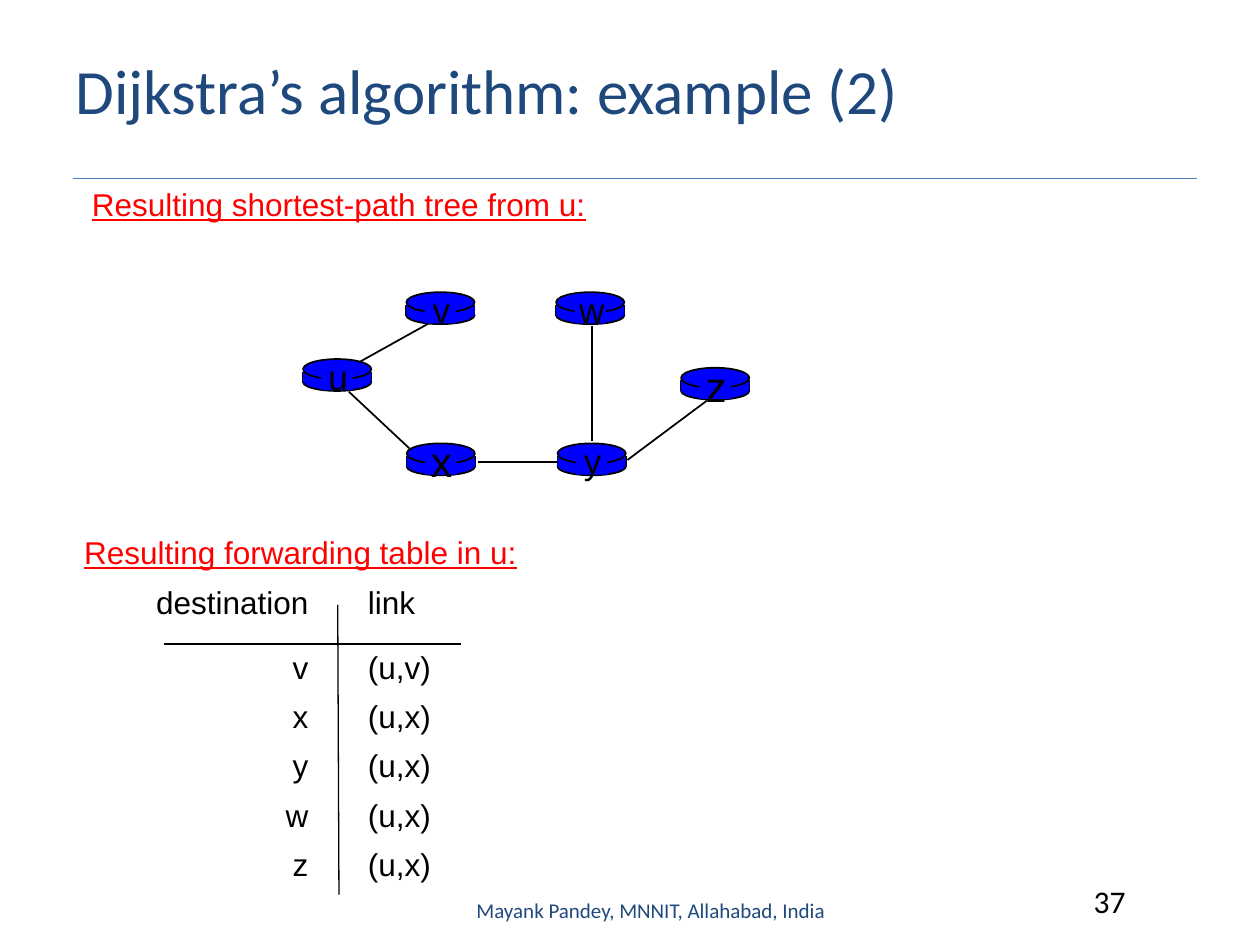
from pptx import Presentation
from pptx.dml.color import RGBColor
from pptx.enum.shapes import MSO_CONNECTOR, MSO_SHAPE
from pptx.enum.text import MSO_ANCHOR, PP_ALIGN
from pptx.oxml.ns import qn
from pptx.util import Pt
from lxml import etree

STRAIGHT = MSO_CONNECTOR.STRAIGHT
ELLIPSE, RECTANGLE = MSO_SHAPE.OVAL, MSO_SHAPE.RECTANGLE
LEFT, CENTER, RIGHT = PP_ALIGN.LEFT, PP_ALIGN.CENTER, PP_ALIGN.RIGHT
TOP, MIDDLE = MSO_ANCHOR.TOP, MSO_ANCHOR.MIDDLE

BLACK = RGBColor(0, 0, 0)
BLUE = RGBColor(0, 0, 255)
RED = RGBColor(255, 0, 0)
NAVY = RGBColor(0x1F, 0x49, 0x7D)
RULE_BLUE = RGBColor(0x4B, 0x7E, 0xBC)

BODY = {"name": "Arial", "size": Pt(18)}
HEADING = {**BODY, "underline": True}
TITLE = {"name": "Calibri", "size": Pt(36)}
FOOTER = {"name": "Calibri", "size": Pt(12)}
PAGE_NUMBER = {"name": "Calibri", "size": Pt(18)}

ROUTER_WIDTH = 39
ROUTERS = [
    ("u", 173.2, 205.2, 20),
    ("x", 232.4, 253.4, 24),
    ("v", 232.2, 167, 20),
    ("w", 317.8, 167, 20),
    ("y", 318.6, 253.4, 20),
    ("z", 389.2, 210.2, 24),
]
EDGES = [
    (205.9, 206.6, 248.4, 182.9),
    (338.4, 186.5, 338.4, 252),
    (358.6, 262.8, 403.9, 229),
    (319, 264.2, 272.9, 264.2),
    (234, 256.3, 199.4, 223.9),
]
FORWARDING = [
    ("destination", "link"),
    ("v", "(u,v)"),
    ("x", "(u,x)"),
    ("y", "(u,x)"),
    ("w", "(u,x)"),
    ("z", "(u,x)"),
]


def write(frame, text, font_format, color, alignment=LEFT):
    paragraph = frame.paragraphs[0]
    paragraph.alignment = alignment
    run = paragraph.add_run()
    run.text = text
    for name, value in font_format.items():
        setattr(run.font, name, value)
    run.font.color.rgb = color


def add_text(slide, text, box, font_format, color, alignment=LEFT, anchor=TOP, wrap=False):
    frame = slide.shapes.add_textbox(*map(Pt, box)).text_frame
    frame.word_wrap = wrap
    frame.vertical_anchor = anchor
    write(frame, text, font_format, color, alignment)


def add_line(slide, ends, color=BLACK, width=1):
    line = slide.shapes.add_connector(STRAIGHT, *map(Pt, ends))
    line.line.color.rgb = color
    line.line.width = Pt(width)
    etree.SubElement(line._element.spPr, qn("a:effectLst"))


def add_block(slide, kind, box, outlined=False):
    shape = slide.shapes.add_shape(kind, *map(Pt, box))
    shape.shadow.inherit = False
    shape.fill.solid()
    shape.fill.fore_color.rgb = BLUE
    if outlined:
        shape.line.color.rgb = BLACK
        shape.line.width = Pt(1)
    else:
        shape.line.fill.background()


def add_router(slide, label, left, top, size):
    add_block(slide, ELLIPSE, (left, top + 8.2, ROUTER_WIDTH, 10), outlined=True)
    for side in (left, left + ROUTER_WIDTH):
        add_line(slide, (side, top + 7.2, side, top + 13.5))
    add_block(slide, RECTANGLE, (left, top + 7.2, ROUTER_WIDTH, 6.3))
    add_block(slide, ELLIPSE, (left, top, ROUTER_WIDTH, 11.5), outlined=True)
    add_block(slide, RECTANGLE, (left + 10.5, top + 1.2, 18, 16.6))
    height = size * 1.15 + 7.2
    box = (left + 6, top + 9.4 - height / 2, 28, height)
    add_text(slide, label, box, {"name": "Arial", "size": Pt(size)}, BLACK, CENTER)


def add_forwarding_table(slide, rows):
    frame = slide.shapes.add_table(len(rows), 2, Pt(81.4), Pt(335), Pt(182), Pt(173.6))
    table = frame.table
    table.first_row = table.horz_banding = False
    for column, width in zip(table.columns, (111.8, 70.2)):
        column.width = Pt(width)
    for index, values in enumerate(rows):
        table.rows[index].height = Pt(28.1 if index else 33.1)
        for cell, text, alignment in zip(table.rows[index].cells, values, (RIGHT, LEFT)):
            cell.fill.background()
            cell.margin_top = cell.margin_bottom = 0
            cell.margin_left = Pt(17 if alignment == LEFT else 0)
            cell.margin_right = Pt(17 if alignment == RIGHT else 0)
            cell.vertical_anchor = MIDDLE if index else TOP
            write(cell.text_frame, text, BODY, BLACK, alignment)
    add_line(slide, (193, 345.6, 193.7, 511.2), width=0.75)
    add_line(slide, (93.6, 368, 263.5, 368), width=0.75)


def main():
    presentation = Presentation()
    presentation.slide_width, presentation.slide_height = Pt(720), Pt(540)
    slide = presentation.slides.add_slide(presentation.slide_layouts[6])

    add_line(slide, (42, 102.2, 684, 102.2), RULE_BLUE, 0.75)
    add_text(slide, "Dijkstra’s algorithm: example (2)", (36, 12.2, 648, 78), TITLE, NAVY,
             anchor=MIDDLE, wrap=True)
    add_text(slide, "Resulting shortest-path tree from u:", (45.4, 102.2, 323, 29), HEADING, RED)

    for ends in EDGES:
        add_line(slide, ends)
    for router in ROUTERS:
        add_router(slide, *router)

    add_text(slide, "Resulting forwarding table in u:", (41, 301, 276.5, 29), HEADING, RED)
    add_forwarding_table(slide, FORWARDING)

    add_text(slide, "Mayank Pandey, MNNIT, Allahabad, India", (257.8, 505.4, 228.2, 29), FOOTER,
             NAVY, CENTER, MIDDLE, True)
    add_text(slide, "37", (617.8, 500.4, 66.2, 29), PAGE_NUMBER, BLACK, wrap=True)
    presentation.save("out.pptx")


if __name__ == "__main__":
    main()
